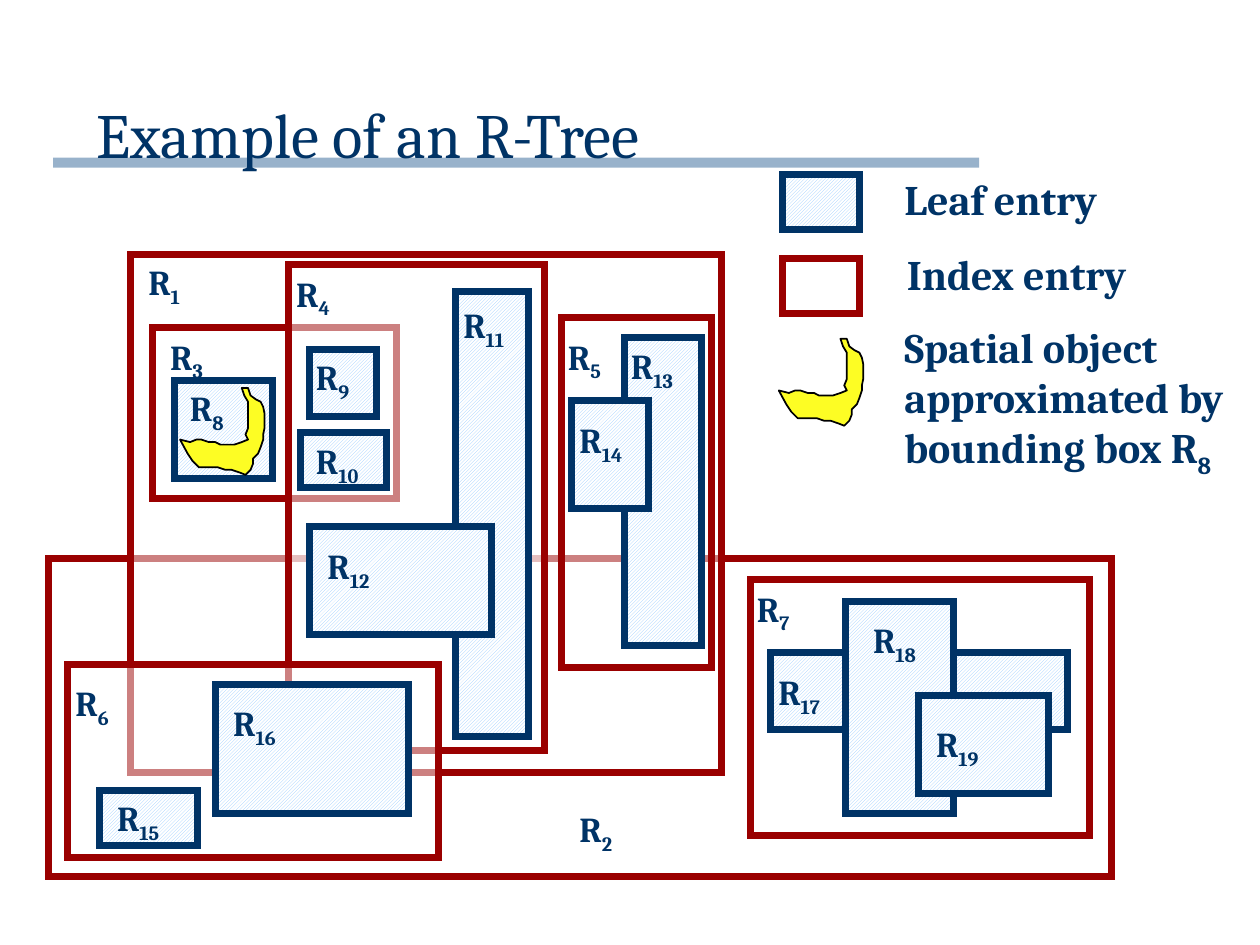
from lxml import etree
from pptx import Presentation
from pptx import util as u
from pptx.dml.color import RGBColor
from pptx.enum import dml, shapes, text
from pptx.oxml.ns import qn

NAVY = RGBColor(0x00, 0x33, 0x66)
RED = RGBColor(0x9A, 0x00, 0x00)
STEEL = RGBColor(0x33, 0x66, 0x99)
SKY = RGBColor(0x99, 0xCC, 0xFF)
WHITE = RGBColor(0xFF, 0xFF, 0xFF)
YELLOW = RGBColor(0xFD, 0xFD, 0x24)
BLACK = RGBColor(0x00, 0x00, 0x00)
FONT = "Cambria"

INDEX_ENTRIES = {
    2: (0.97, 11.25, 21.44, 6.43),
    1: (2.64, 5.13, 11.91, 10.44),
    3: (3.07, 6.6, 4.93, 3.45),
    4: (5.82, 5.33, 5.16, 9.8),
    5: (11.33, 6.4, 3.02, 7.06),
    6: (1.37, 13.39, 7.47, 3.89),
    7: (15.14, 11.68, 6.83, 5.16),
}
UNFILLED_ENTRY = 5
LEAF_ENTRIES = {
    8: (3.51, 7.67, 1.98, 1.98),
    9: (6.25, 7.04, 1.35, 1.35),
    10: (6.05, 8.71, 1.75, 1.12),
    11: (9.19, 5.87, 1.47, 8.97),
    12: (6.25, 10.62, 3.66, 2.18),
    16: (4.34, 13.79, 3.89, 2.62),
    15: (2.01, 15.93, 1.98, 1.12),
    17: (15.54, 13.16, 5.99, 1.55),
    18: (17.04, 12.12, 2.18, 4.29),
    19: (18.52, 14.02, 2.62, 1.98),
    13: (12.6, 6.81, 1.55, 6.2),
    14: (11.53, 8.08, 1.55, 2.18),
}
LEAF_LABELS = {
    8: (3.58, 7.67), 9: (6.12, 7.04), 10: (6.12, 8.74), 11: (9.09, 5.99),
    12: (6.35, 10.85), 17: (15.44, 13.39), 18: (17.35, 12.34), 19: (18.62, 14.45),
    13: (12.47, 6.83), 14: (11.43, 8.31), 15: (2.11, 15.93), 16: (4.45, 14.02),
}
INDEX_LABELS = {
    1: (2.74, 5.13), 2: (11.43, 16.15), 3: (3.18, 6.63), 4: (5.72, 5.36),
    5: (11.2, 6.63), 6: (1.27, 13.61), 7: (15.01, 11.71),
}
BANANA = [
    (0, 41), (8, 43), (13, 41), (17, 41), (23, 43), (28, 43), (32, 45), (38, 45),
    (43, 45), (49, 43), (54, 41), (52, 37), (54, 32), (54, 26), (54, 22), (54, 17),
    (54, 11), (51, 6), (49, 0), (54, 0), (56, 6), (60, 9), (64, 11), (66, 15),
    (67, 20), (67, 26), (67, 32), (66, 37), (66, 41), (64, 47), (62, 52), (58, 56),
    (58, 60), (56, 65), (52, 69), (47, 67), (41, 65), (36, 65), (30, 63), (26, 63),
    (21, 63), (15, 63), (10, 58), (6, 52),
]
BANANA_UNIT = u.Cm(0.0254)


def lengths(values):
    return [u.Cm(value) for value in values]


def add_rectangle(page, place):
    box = page.shapes.add_shape(shapes.MSO_SHAPE.RECTANGLE, *lengths(place))
    box.shadow.inherit = False
    return box


def fill_half_clear(box, color):
    box.fill.solid()
    box.fill.fore_color.rgb = color
    tint = box.element.spPr.find(qn("a:solidFill")).find(qn("a:srgbClr"))
    etree.SubElement(tint, qn("a:alpha")).set("val", "50000")


def outline_square(box, color):
    box.line.color.rgb = color
    box.line.width = u.Pt(4)
    outline = box.element.spPr.find(qn("a:ln"))
    etree.SubElement(outline, qn("a:miter")).set("lim", "800000")


def add_index_entry(page, place, filled=True):
    box = add_rectangle(page, place)
    if filled:
        fill_half_clear(box, WHITE)
    else:
        box.fill.background()
    outline_square(box, RED)


def add_leaf_entry(page, place):
    box = add_rectangle(page, place)
    box.fill.patterned()
    box.fill.pattern = dml.MSO_PATTERN.DARK_UPWARD_DIAGONAL
    box.fill.fore_color.rgb = SKY
    box.fill.back_color.rgb = WHITE
    outline_square(box, NAVY)


def add_span(para, words, size, bold=True, subscript=False):
    span = para.add_run()
    span.text = words
    span.font.name = FONT
    span.font.size = u.Pt(size)
    span.font.bold = bold
    span.font.color.rgb = NAVY
    if subscript:
        span.font._element.set("baseline", "-25000")


def add_text(page, place, lines, size, wrap=False):
    box = page.shapes.add_textbox(*lengths(place))
    frame = box.text_frame
    frame.word_wrap = wrap
    frame.auto_size = text.MSO_AUTO_SIZE.SHAPE_TO_FIT_TEXT
    for number, (words, subscript) in enumerate(lines):
        para = frame.add_paragraph() if number else frame.paragraphs[0]
        add_span(para, words, size)
        if subscript:
            add_span(para, subscript, size, subscript=True)


def add_labels(page, labels):
    for number, corner in labels.items():
        width = 1.24 if number < 10 else 1.47
        add_text(page, (*corner, width, 1.09), [("R", str(number))], 20)


def add_banana(page, left, top):
    builder = page.shapes.build_freeform(*BANANA[0], scale=BANANA_UNIT)
    builder.add_line_segments(BANANA[1:], close=True)
    banana = builder.convert_to_shape(u.Cm(left), u.Cm(top))
    banana.shadow.inherit = False
    banana.fill.solid()
    banana.fill.fore_color.rgb = YELLOW
    banana.line.color.rgb = BLACK
    banana.line.width = u.Pt(1)


def add_title_rule(page):
    rule = add_rectangle(page, (1.07, 3.18, 18.67, 0.2))
    fill_half_clear(rule, STEEL)
    rule.line.fill.background()
    page.shapes.title.element.addprevious(rule.element)


def set_title(page, words):
    title = page.shapes.title
    title.left, title.top, title.width, title.height = lengths((1.7, 1.47, 23.7, 2.11))
    frame = title.text_frame
    frame.vertical_anchor = text.MSO_ANCHOR.BOTTOM
    frame.auto_size = text.MSO_AUTO_SIZE.SHAPE_TO_FIT_TEXT
    para = frame.paragraphs[0]
    para.alignment = text.PP_ALIGN.LEFT
    add_span(para, words, 36, bold=False)


def add_legend(page):
    add_leaf_entry(page, (15.77, 3.51, 1.55, 1.12))
    add_index_entry(page, (15.77, 5.21, 1.55, 1.12))
    add_text(page, (17.98, 3.38, 4.45, 1.27), [("Leaf entry", "")], 24)
    add_text(page, (18.03, 4.88, 6.35, 1.27), [("Index entry", "")], 24, wrap=True)
    add_banana(page, 15.7, 6.83)
    meaning = [("Spatial object", ""), ("approximated by", ""), ("bounding box R", "8")]
    add_text(page, (17.98, 6.35, 7.29, 3.3), meaning, 24)


def main():
    deck = Presentation()
    deck.slide_width, deck.slide_height = lengths((25.4, 19.05))
    page = deck.slides.add_slide(deck.slide_layouts[0])
    subtitle = page.placeholders[1].element
    subtitle.getparent().remove(subtitle)
    set_title(page, "Example of an R-Tree")
    add_title_rule(page)
    for number, place in INDEX_ENTRIES.items():
        add_index_entry(page, place, filled=number != UNFILLED_ENTRY)
    for place in LEAF_ENTRIES.values():
        add_leaf_entry(page, place)
    add_labels(page, LEAF_LABELS)
    add_banana(page, 3.63, 7.82)
    add_labels(page, INDEX_LABELS)
    add_legend(page)
    deck.save("out.pptx")


if __name__ == "__main__":
    main()
